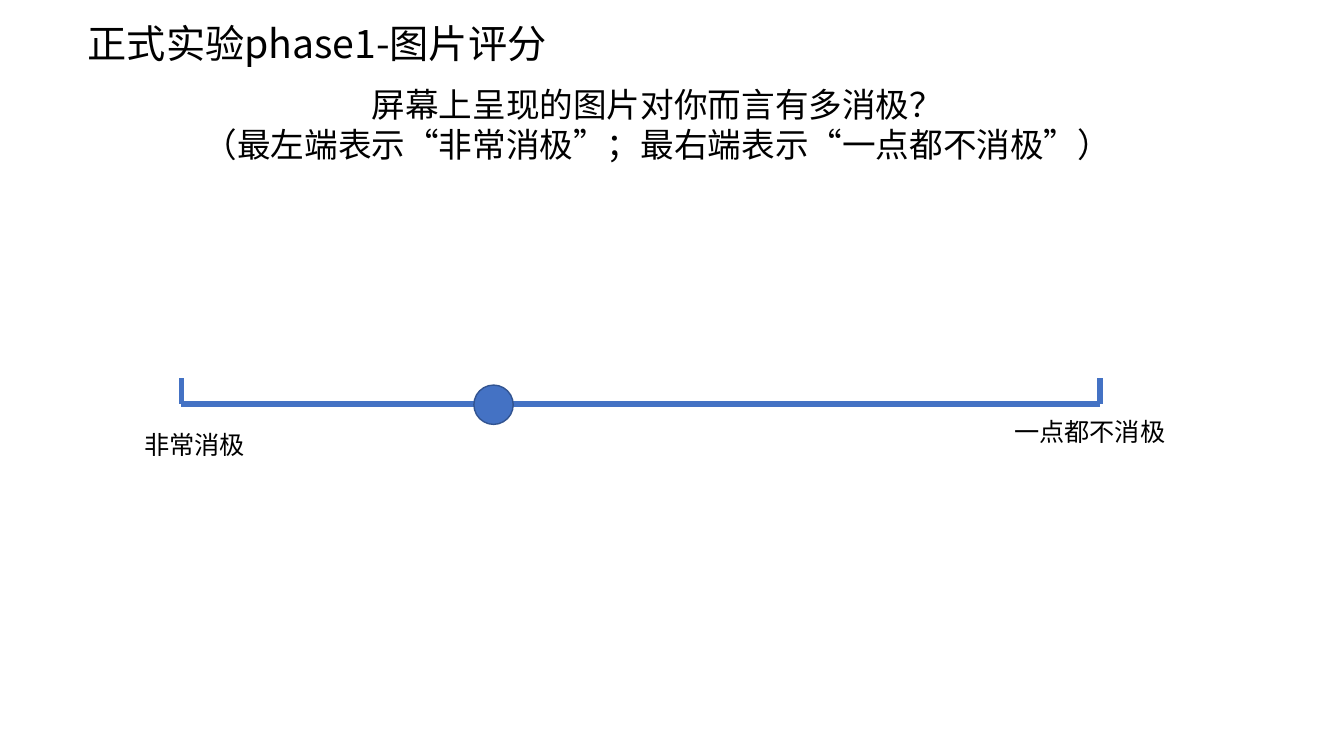
"""Build the picture rating slide with its negativity scale."""
from lxml import etree
from pptx import Presentation
from pptx.dml.color import RGBColor
from pptx.enum import shapes, text
from pptx.oxml import ns
from pptx.util import Inches, Pt

COLORS = {"text": "000000", "scale": "4472C4", "marker_edge": "325491"}
FONT = "Noto Sans CJK SC"


def write(frame, lines, size, align=text.PP_ALIGN.LEFT, anchor=text.MSO_ANCHOR.TOP,
          spacing=1.0, fit=text.MSO_AUTO_SIZE.SHAPE_TO_FIT_TEXT):
    frame.word_wrap = True
    frame.auto_size = fit
    frame.vertical_anchor = anchor
    for index, line in enumerate(lines):
        paragraph = frame.add_paragraph() if index else frame.paragraphs[0]
        paragraph.alignment = align
        paragraph.line_spacing = spacing
        run = paragraph.add_run()
        run.text = line
        run.font.size = Pt(size)
        run.font.name = FONT
        run.font.color.rgb = RGBColor.from_string(COLORS["text"])
        east_asian = etree.SubElement(run.font._element, ns.qn("a:ea"))
        east_asian.set("typeface", FONT)


deck = Presentation()
deck.slide_width, deck.slide_height = Inches(13.33), Inches(7.5)
slide = deck.slides.add_slide(deck.slide_layouts[5])

heading = slide.shapes.title
heading.left, heading.top = Inches(0.77), Inches(0)
heading.width, heading.height = Inches(11.14), Inches(0.9)
write(heading.text_frame, ["正式实验phase1-图片评分"], 28, anchor=text.MSO_ANCHOR.MIDDLE,
      spacing=0.9, fit=text.MSO_AUTO_SIZE.NONE)

question = slide.shapes.add_textbox(Inches(1.33), Inches(0.78), Inches(10.38), Inches(0.91))
write(question.text_frame,
      ["屏幕上呈现的图片对你而言有多消极？", "（最左端表示“非常消极”；最右端表示“一点都不消极”）"],
      24, align=text.PP_ALIGN.CENTER)

scale_left, scale_right, scale_y, tick_top = 1.8, 10.91, 4.01, 3.75
for x1, y1, x2 in [(scale_left, scale_y, scale_right),
                   (scale_right, tick_top, scale_right),
                   (scale_left, tick_top, scale_left)]:
    segment = slide.shapes.add_connector(shapes.MSO_CONNECTOR.STRAIGHT, Inches(x1), Inches(y1),
                                         Inches(x2), Inches(scale_y))
    segment.line.color.rgb = RGBColor.from_string(COLORS["scale"])
    segment.line.width = Pt(4)
    etree.SubElement(segment._element.spPr, ns.qn("a:effectLst"))

marker = slide.shapes.add_shape(shapes.MSO_SHAPE.OVAL, Inches(4.7), Inches(3.82),
                                Inches(0.39), Inches(0.39))
marker.shadow.inherit = False
marker.fill.solid()
marker.fill.fore_color.rgb = RGBColor.from_string(COLORS["scale"])
marker.line.color.rgb = RGBColor.from_string(COLORS["marker_edge"])
marker.line.width = Pt(1)

for label, left, top in [("非常消极", 1.33, 4.21), ("一点都不消极", 9.96, 4.08)]:
    end_label = slide.shapes.add_textbox(Inches(left), Inches(top), Inches(1.91), Inches(0.4))
    write(end_label.text_frame, [label], 18)

deck.save("out.pptx")
